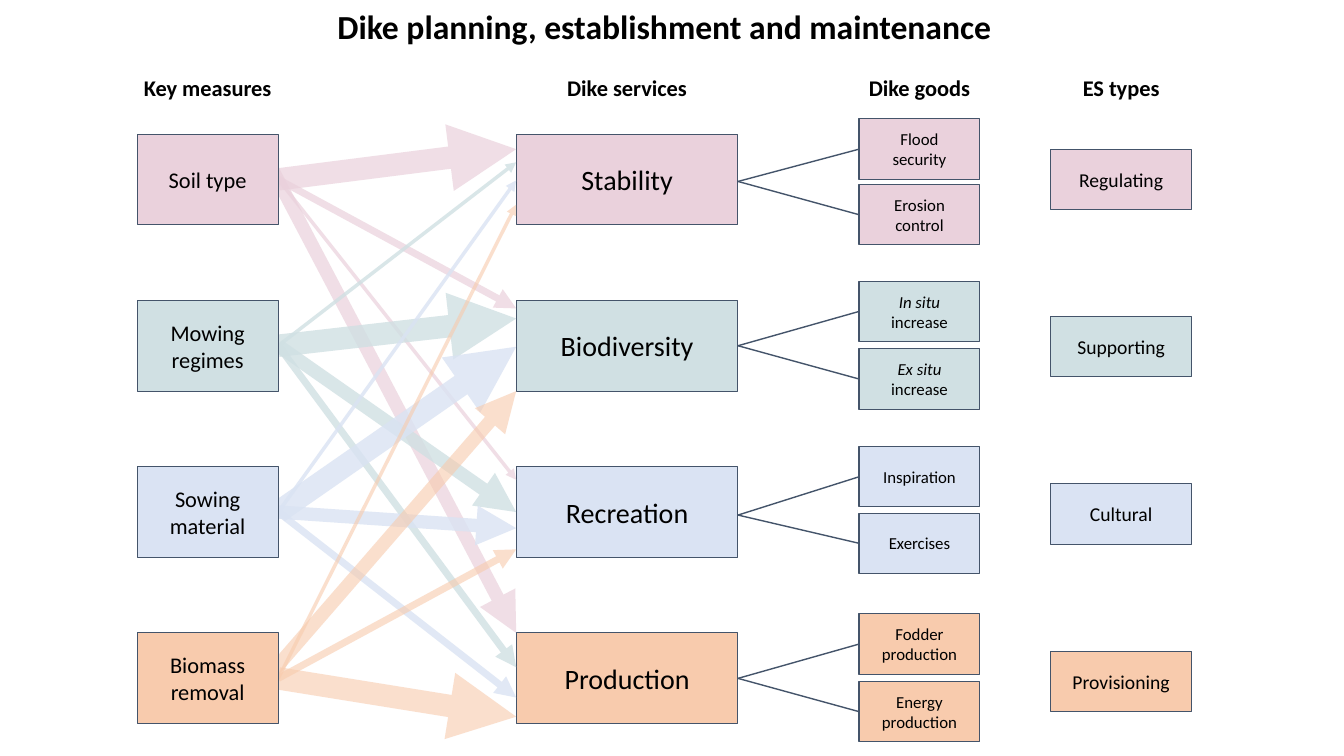
from lxml.etree import SubElement
from pptx import Presentation
from pptx.dml.color import RGBColor
from pptx.enum.shapes import MSO_CONNECTOR, MSO_SHAPE
from pptx.enum.text import MSO_ANCHOR, PP_ALIGN
from pptx.oxml.ns import qn
from pptx.util import Inches, Pt

COLORS = {
    "regulating": "EAD1DC",
    "supporting": "D0E0E3",
    "cultural": "DAE3F3",
    "provisioning": "F8CBAD",
    "outline": "44546A",
    "text": "000000",
}
THEMES = list(COLORS)[:4]
TOP, PITCH = 1.33, 1.65
KEY_X, SERVICE_X, GOODS_X, TYPE_X = 1.36, 5.12, 8.52, 10.42
KEY_W, SERVICE_W, GOODS_W, TYPE_W = 1.4, 2.2, 1.2, 1.4
TALL, SHORT = 0.9, 0.6
OVERHANG = 0.15

prs = Presentation()
prs.slide_width, prs.slide_height = Inches(13.33), Inches(7.5)
s = prs.slides.add_slide(prs.slide_layouts[6])


def add_box(x, y, w, h, runs, size, fill=None):
    if fill:
        sp = s.shapes.add_shape(MSO_SHAPE.RECTANGLE, Inches(x), Inches(y), Inches(w), Inches(h))
        sp.shadow.inherit = False
        sp.fill.solid()
        sp.fill.fore_color.rgb = RGBColor.from_string(COLORS[fill])
        sp.line.color.rgb = RGBColor.from_string(COLORS["outline"])
        sp.line.width = Pt(0.75)
    else:
        sp = s.shapes.add_textbox(Inches(x), Inches(y), Inches(w), Inches(h))
    tf = sp.text_frame
    tf.word_wrap = True
    if fill:
        tf.vertical_anchor = MSO_ANCHOR.MIDDLE
        tf.margin_left = tf.margin_right = tf.margin_top = tf.margin_bottom = Inches(0.13)
    p = tf.paragraphs[0]
    p.alignment = PP_ALIGN.CENTER
    for text, italic in runs:
        r = p.add_run()
        r.text = text
        r.font.name, r.font.size = "Calibri", Pt(size)
        r.font.bold, r.font.italic = not fill, italic
        r.font.color.rgb = RGBColor.from_string(COLORS["text"])


def add_line(x1, y1, x2, y2, color, width, opacity=None):
    cx = s.shapes.add_connector(MSO_CONNECTOR.STRAIGHT, Inches(x1), Inches(y1), Inches(x2), Inches(y2))
    cx.line.color.rgb = RGBColor.from_string(COLORS[color])
    cx.line.width = Pt(width)
    sppr = cx._element.spPr
    SubElement(sppr, qn("a:effectLst"))
    if opacity:
        ln = sppr.find(qn("a:ln"))
        SubElement(ln.find(".//" + qn("a:srgbClr")), qn("a:alpha"), val=str(opacity * 1000))
        SubElement(ln, qn("a:tailEnd"), type="triangle")


services = ["Stability", "Biodiversity", "Recreation", "Production"]
for i, (theme, name) in enumerate(zip(THEMES, services)):
    add_box(SERVICE_X, TOP + i * PITCH, SERVICE_W, TALL, [(name, False)], 20, theme)

WEIGHTS = [16, 9.5, 5, 2.5]
OPACITY = [70, 80, 80, 60]
arrow_ends = [
    [1.48, 6.28, 3.06, 4.76],
    [3.16, 5.08, 6.62, 1.61],
    [3.44, 5.24, 6.92, 1.79],
    [7.11, 3.88, 5.45, 2.03],
]
shifted_starts = {(0, 1): (2.69, 1.66), (3, 1): (2.62, 6.76)}
for i, (theme, ends) in enumerate(zip(THEMES, arrow_ends)):
    for j, (end, weight) in enumerate(zip(ends, WEIGHTS)):
        x, y = shifted_starts.get((i, j), (KEY_X + KEY_W, TOP + TALL / 2 + i * PITCH))
        add_line(x, y, SERVICE_X, end, theme, weight, OPACITY[i])

measures = ["Soil type", "Mowing regimes", "Sowing material", "Biomass removal"]
for i, (theme, name) in enumerate(zip(THEMES, measures)):
    add_box(KEY_X, TOP + i * PITCH, KEY_W, TALL, [(name, False)], 16, theme)

goods = [
    (1.8, [(1.18, [("Flood security", False)]), (1.83, [("Erosion control", False)])]),
    (3.43, [(2.79, [("In situ", True), (" increase", False)]),
            (3.46, [("Ex situ ", True), ("increase", False)])]),
    (5.11, [(4.43, [("Inspiration", False)]), (5.09, [("Exercises", False)])]),
    (6.73, [(6.09, [("Fodder production", False)]), (6.76, [("Energy production", False)])]),
]
for theme, (fork, pair) in zip(THEMES, goods):
    for y, runs in pair:
        add_box(GOODS_X, y, GOODS_W, SHORT, runs, 12, theme)
        add_line(SERVICE_X + SERVICE_W, fork, GOODS_X, y + SHORT / 2, "outline", 1)

types = ["Regulating", "Supporting", "Cultural", "Provisioning"]
for i, (theme, name) in enumerate(zip(THEMES, types)):
    add_box(TYPE_X, 1.48 + i * 1.66, TYPE_W, SHORT, [(name, False)], 14, theme)

add_box(3.2, 0.01, 6.78, 0.5, [("Dike planning, establishment and maintenance", False)], 24)
headings = [
    ("Dike services", SERVICE_X, SERVICE_W),
    ("Key measures", KEY_X, KEY_W),
    ("Dike goods", GOODS_X, GOODS_W),
    ("ES types", TYPE_X, TYPE_W),
]
for name, x, w in headings:
    add_box(x - OVERHANG, 0.69, w + 2 * OVERHANG, 0.37, [(name, False)], 16)

prs.save("out.pptx")
